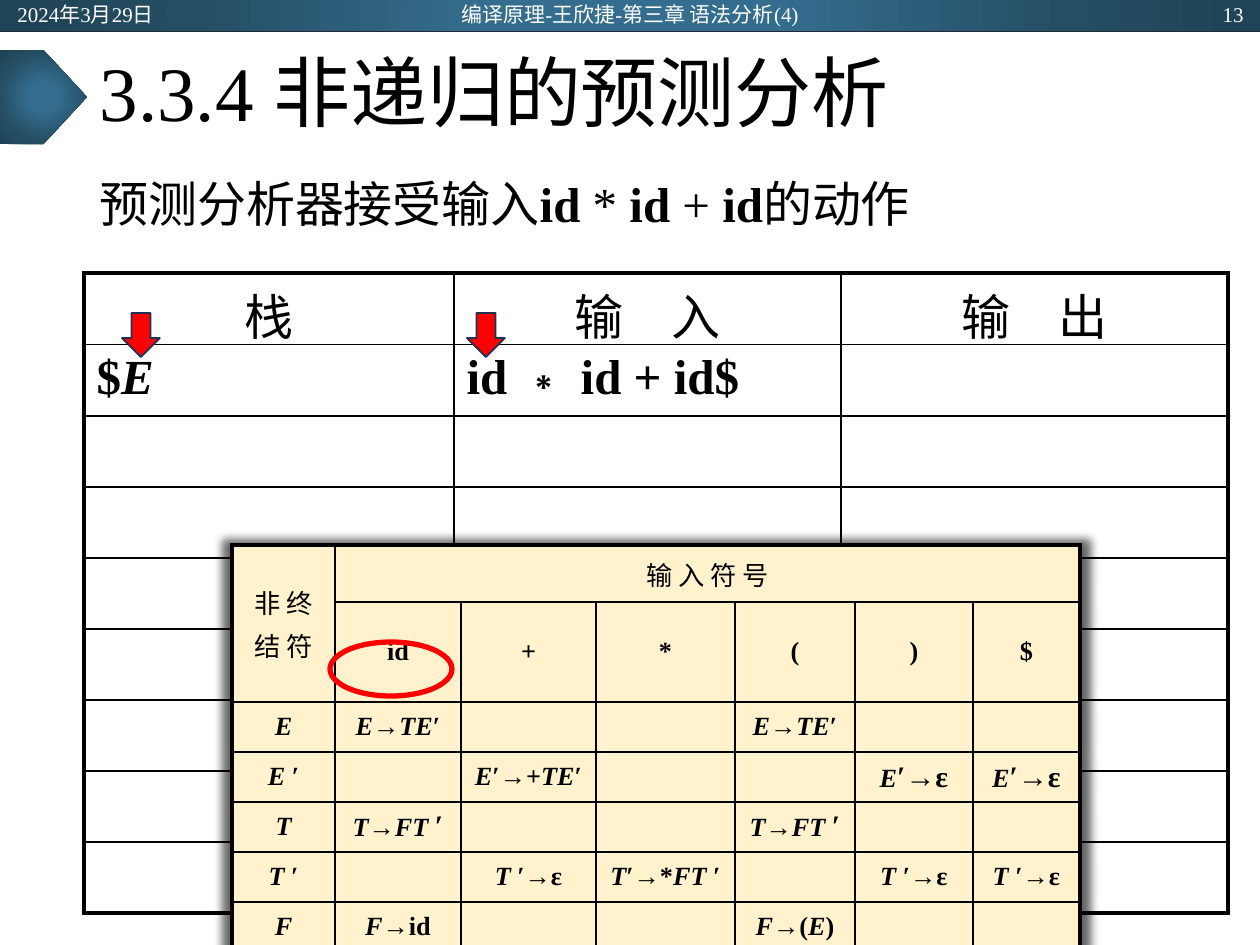
import itertools

import lxml.etree
import pptx
import pptx.dml.color
import pptx.enum.shapes
import pptx.enum.text
import pptx.oxml
import pptx.oxml.ns
import pptx.util

RGB = pptx.dml.color.RGBColor
SHAPE = pptx.enum.shapes.MSO_SHAPE
ALIGN = pptx.enum.text.PP_ALIGN
ANCHOR = pptx.enum.text.MSO_ANCHOR

BLACK = RGB(0x00, 0x00, 0x00)
WHITE = RGB(0xFF, 0xFF, 0xFF)
RED = RGB(0xFF, 0x00, 0x00)
CREAM = RGB(0xFF, 0xF2, 0xCC)
NAVY = RGB(0x1E, 0x32, 0x56)
SLATE = RGB(0x22, 0x2A, 0x35)
TEAL_STOPS = [(0, RGB(0x34, 0x6D, 0x8E)), (23, RGB(0x34, 0x6D, 0x8E)),
              (69, RGB(0x25, 0x4E, 0x64)), (97, RGB(0x20, 0x44, 0x57))]

PX_PER_INCH = 126
FONT = "Times New Roman"
NO_TABLE_STYLE = "{2D5ABB26-0587-4C30-8999-92F81FD0307C}"
NS = 'xmlns:a="http://schemas.openxmlformats.org/drawingml/2006/main"'

# In texts, _ switches italic, ~ switches bold and ^ switches the larger size.
MARKS = "_~^"
LARGER = 17

PARSE_TABLE = [
    ["非 终\n结 符", "输 入 符 号", "", "", "", "", ""],
    ["", "id", "+", "*", "(", ")", "$"],
    ["_E_", "_E_→_TE_′", "", "", "_E→TE_′", "", ""],
    ["_E _′", "", "_E_′→+_TE_′", "", "", "_E_^′→ε^", "_E_^′→ε^"],
    ["_T_", "_T_→_FT _^′^", "", "", "_T_→_FT _^′^", "", ""],
    ["_T _′", "", "_T _′→ε", "_T_′→*_FT _′", "", "_T _′→ε", "_T _′→ε"],
    ["_F_", "_F_→id", "", "", "_F_→(_E_)", "", ""],
]


def px(length):
    return pptx.util.Emu(round(length * 914400 / PX_PER_INCH))


class SlideBuilder:
    """Holds the current slide and the style shared by its elements."""

    def __init__(self, slide):
        self.slide = slide

    def fill_paragraph(self, paragraph, text, size, color=BLACK, bold=False,
                       align=ALIGN.LEFT):
        paragraph.alignment = align
        font = paragraph.font
        font.name, font.size, font.bold = FONT, pptx.util.Pt(size), bold
        font.color.rgb = color
        active = set()
        for is_mark, chars in itertools.groupby(text, lambda char: char in MARKS):
            if is_mark:
                active ^= set(chars)
                continue
            run = paragraph.add_run()
            run.text = "".join(chars)
            if "_" in active:
                run.font.italic = True
            if "~" in active:
                run.font.bold = True
            if "^" in active:
                run.font.size = pptx.util.Pt(LARGER)

    def title(self, box, text, size):
        title = self.slide.shapes.title
        title.left, title.top, title.width, title.height = map(px, box)
        frame = title.text_frame
        frame.auto_size = pptx.enum.text.MSO_AUTO_SIZE.NONE
        frame.vertical_anchor = ANCHOR.MIDDLE
        frame.paragraphs[0].line_spacing = 0.9
        self.fill_paragraph(frame.paragraphs[0], text, size)

    def text(self, box, text, size, anchor=ANCHOR.TOP, spacing=1.0, **style):
        frame = self.slide.shapes.add_textbox(*map(px, box)).text_frame
        frame.word_wrap = True
        frame.vertical_anchor = anchor
        frame.paragraphs[0].line_spacing = spacing
        self.fill_paragraph(frame.paragraphs[0], text, size, **style)

    def shape(self, kind, box, fill=None, line=None, weight=1):
        shape = self.slide.shapes.add_shape(kind, *map(px, box))
        shape.shadow.inherit = False
        if fill is None:
            shape.fill.background()
        else:
            shape.fill.solid()
            shape.fill.fore_color.rgb = fill
        if line is None:
            shape.line.fill.background()
        else:
            shape.line.color.rgb = line
            shape.line.width = pptx.util.Pt(weight)
        return shape

    def glowing_shape(self, kind, box):
        """Add a shape with a gradient running outwards from its centre."""
        shape = self.shape(kind, box, fill=WHITE)
        stops = "".join(f'<a:gs pos="{at * 1000}"><a:srgbClr val="{color}"/></a:gs>'
                        for at, color in TEAL_STOPS)
        gradient = pptx.oxml.parse_xml(
            f'<a:gradFill {NS}><a:gsLst>{stops}</a:gsLst><a:path path="circle">'
            '<a:fillToRect l="50000" t="50000" r="50000" b="50000"/></a:path></a:gradFill>')
        properties = shape._element.spPr
        properties.replace(properties.find(pptx.oxml.ns.qn("a:solidFill")), gradient)

    def line(self, start, end, color, weight):
        line = self.slide.shapes.add_connector(
            pptx.enum.shapes.MSO_CONNECTOR.STRAIGHT, *map(px, start + end))
        line.line.color.rgb = color
        line.line.width = pptx.util.Pt(weight)
        lxml.etree.SubElement(line._element.spPr, pptx.oxml.ns.qn("a:effectLst"))

    def table(self, left, top, widths, heights):
        table = self.slide.shapes.add_table(
            len(heights), len(widths), px(left), px(top),
            px(sum(widths)), px(sum(heights))).table
        table.first_row = table.horz_banding = False
        table._tbl.tblPr.find(pptx.oxml.ns.qn("a:tableStyleId")).text = NO_TABLE_STYLE
        for column, width in zip(table.columns, widths):
            column.width = px(width)
        for row, height in zip(table.rows, heights):
            row.height = px(height)
        return table

    def borders(self, table, inner=1, outer=2.25):
        """Rule every cell, with a heavier line around the whole table."""
        rows, columns = len(table.rows), len(table.columns)
        for r, c in itertools.product(range(rows), range(columns)):
            cell = table.cell(r, c)
            if cell.is_spanned:
                continue
            on_edge = {"lnL": c == 0, "lnR": c + cell.span_width == columns,
                       "lnT": r == 0, "lnB": r + cell.span_height == rows}
            for place, (tag, edge) in enumerate(on_edge.items()):
                width = pptx.util.Pt(outer if edge else inner)
                cell._tc.get_or_add_tcPr().insert(place, pptx.oxml.parse_xml(
                    f'<a:{tag} {NS} w="{width}"><a:solidFill><a:srgbClr val="{BLACK}"/>'
                    f'</a:solidFill></a:{tag}>'))

    def table_shadow(self, table):
        table._tbl.tblPr.insert(0, pptx.oxml.parse_xml(
            f'<a:effectLst {NS}><a:outerShdw blurRad="63500" sx="102000" sy="102000" '
            f'algn="ctr" rotWithShape="0"><a:srgbClr val="{BLACK}"><a:alpha val="60000"/>'
            '</a:srgbClr></a:outerShdw></a:effectLst>'))

    def moves_table(self):
        table = self.table(84, 273, [370, 387, 387], [71] * 9)
        for cell in table.iter_cells():
            cell.fill.background()
        for cell, heading in zip(table.rows[0].cells, ["栈", "输　入", "输　出"]):
            self.fill_paragraph(cell.text_frame.paragraphs[0], heading, 28,
                                align=ALIGN.CENTER)
        for cell, move in zip(table.rows[1].cells, ["$_E_", "id ∗ id + id$"]):
            self.fill_paragraph(cell.text_frame.paragraphs[0], move, 28, bold=True)
        self.borders(table)

    def parse_table(self):
        table = self.table(232, 545, [103, 126, 135, 139, 120, 118, 107],
                           [57, 100] + [50] * 5)
        table.cell(0, 0).merge(table.cell(1, 0))
        table.cell(0, 1).merge(table.cell(0, 6))
        for cell, entry in zip(table.iter_cells(), itertools.chain(*PARSE_TABLE)):
            if cell.is_spanned:
                continue
            heading = cell.is_merge_origin
            cell.fill.solid()
            cell.fill.fore_color.rgb = CREAM
            cell.vertical_anchor = ANCHOR.MIDDLE
            cell.margin_left = cell.margin_right = px(19 if heading else 6)
            cell.margin_top = cell.margin_bottom = px(10 if heading else 4)
            frame = cell.text_frame
            for number, line in enumerate(entry.split("\n")):
                paragraph = frame.add_paragraph() if number else frame.paragraphs[0]
                if number:
                    paragraph.space_before = pptx.util.Pt(3)
                self.fill_paragraph(paragraph, line, 15, bold=not heading,
                                    align=ALIGN.CENTER)
        self.borders(table)
        self.table_shadow(table)


def main():
    deck = pptx.Presentation()
    deck.slide_width, deck.slide_height = px(1260), px(945)
    page = SlideBuilder(deck.slides.add_slide(deck.slide_layouts[5]))

    page.glowing_shape(SHAPE.RECTANGLE, (0, 0, 1260, 31))
    page.line((0, 31), (1260, 31), SLATE, 0.5)
    page.glowing_shape(SHAPE.PENTAGON, (0, 50, 87, 94))
    page.title((87, 31, 1086, 131), "3.3.4 非递归的预测分析", 44)
    page.text((87, 174, 1086, 678), "预测分析器接受输入~id~ * ~id~ + ~id~的动作", 28, spacing=0.9)
    page.moves_table()

    for left, width, label, align in [
            (5, 284, "2024年3月29日", ALIGN.LEFT),
            (417, 426, "编译原理-王欣捷-第三章 语法分析(4)", ALIGN.CENTER),
            (972, 284, "13", ALIGN.RIGHT)]:
        page.text((left, 1, width, 26), label, 12, ANCHOR.MIDDLE, color=WHITE, align=align)

    page.parse_table()
    for left in (122, 467):
        page.shape(SHAPE.DOWN_ARROW, (left, 313, 38, 44), RED, NAVY)
    page.shape(SHAPE.OVAL, (330, 642, 122, 54), line=RED, weight=3)

    deck.save("out.pptx")


if __name__ == "__main__":
    main()
